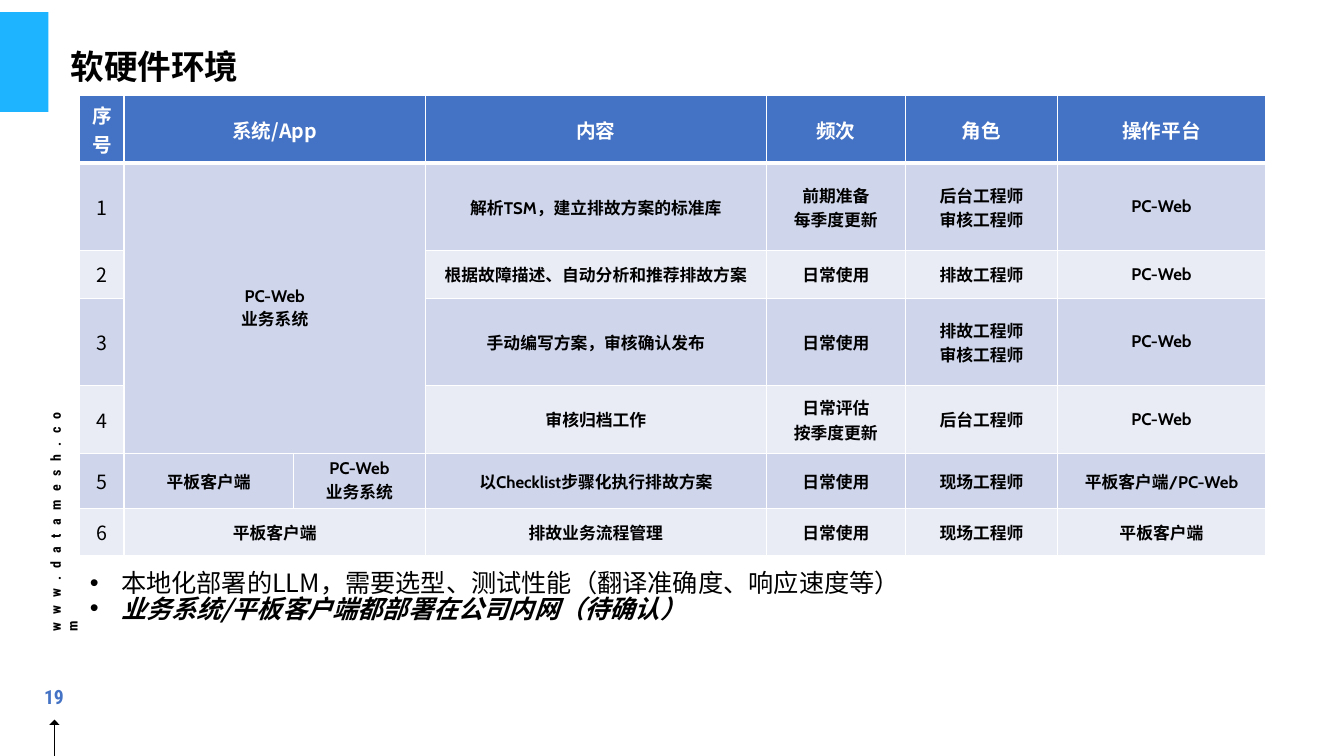
from dataclasses import dataclass

from lxml import etree
from pptx import Presentation
from pptx.dml.color import RGBColor
from pptx.enum.shapes import MSO_CONNECTOR, MSO_SHAPE
from pptx.enum.text import MSO_ANCHOR, MSO_AUTO_SIZE, PP_ALIGN
from pptx.oxml.ns import qn
from pptx.util import Inches, Pt

LEFT, CENTER = PP_ALIGN.LEFT, PP_ALIGN.CENTER
TOP, MIDDLE = MSO_ANCHOR.TOP, MSO_ANCHOR.MIDDLE
NO_AUTOFIT = MSO_AUTO_SIZE.NONE
RECTANGLE, TRIANGLE = MSO_SHAPE.RECTANGLE, MSO_SHAPE.ISOSCELES_TRIANGLE
STRAIGHT = MSO_CONNECTOR.STRAIGHT

SLIDE_WIDTH, SLIDE_HEIGHT = Inches(13.33), Inches(7.5)
BLACK, WHITE, BLUE, SKY = "000000", "FFFFFF", "4472C4", "1EB4FF"
BANDS = ("E9EBF5", "CFD5EA")
CJK_FONT, CELL_FONT, SIDE_FONT = "Noto Sans CJK SC", "Cabin", "Roboto Condensed"

# Shares of the slide in percent
COLUMN_SHARES = (3.3, 12.6, 9.83, 25.36, 10.35, 11.33, 15.45)
ROW_SHARES = (5.73, 11.6, 6.27, 11.6, 8.93, 6.27, 6.27)
CONTENT_LEFT = 5.93
CONTENT_WIDTH = sum(COLUMN_SHARES)

ROWS = (
    ("序号", "系统/App", None, "内容", "频次", "角色", "操作平台"),
    ("1", "PC-Web\n业务系统", None, "解析TSM，建立排故方案的标准库",
     "前期准备\n每季度更新", "后台工程师\n审核工程师", "PC-Web"),
    ("2", None, None, "根据故障描述、自动分析和推荐排故方案",
     "日常使用", "排故工程师", "PC-Web"),
    ("3", None, None, "手动编写方案，审核确认发布",
     "日常使用", "排故工程师\n审核工程师", "PC-Web"),
    ("4", None, None, "审核归档工作",
     "日常评估\n按季度更新", "后台工程师", "PC-Web"),
    ("5", "平板客户端", "PC-Web\n业务系统", "以Checklist步骤化执行排故方案",
     "日常使用", "现场工程师", "平板客户端/PC-Web"),
    ("6", "平板客户端", None, "排故业务流程管理",
     "日常使用", "现场工程师", "平板客户端"),
)
MERGES = (((0, 1), (0, 2)), ((1, 1), (4, 2)), ((6, 1), (6, 2)))


@dataclass
class Style:
    size: float
    font: str = CJK_FONT
    color: str = BLACK
    bold: bool = False
    italic: bool = False
    tracking: float = 0


HEADER_STYLE = Style(14, color=WHITE, bold=True)
NUMBER_STYLE = Style(14)
CELL_STYLE = Style(12, CELL_FONT, bold=True)


def rgb(color):
    return RGBColor.from_string(color)


def across(share):
    return round(SLIDE_WIDTH * share / 100)


def down(share):
    return round(SLIDE_HEIGHT * share / 100)


def area(left, top, width, height):
    return across(left), down(top), across(width), down(height)


def place(shape, *shares):
    shape.left, shape.top, shape.width, shape.height = area(*shares)


def add_run(para, text, style):
    run = para.add_run()
    run.text = text
    font = run.font
    font.size, font.name = Pt(style.size), style.font
    font.bold, font.italic = style.bold, style.italic
    font.color.rgb = rgb(style.color)
    properties = run._r.get_or_add_rPr()
    east_asian = etree.Element(qn("a:ea"), typeface=CJK_FONT)
    properties.find(qn("a:latin")).addnext(east_asian)
    if style.tracking:
        properties.set("spc", str(round(style.tracking * 100)))


def add_paras(frame, texts, style, align=LEFT):
    for index, text in enumerate(texts):
        para = frame.add_paragraph() if index else frame.paragraphs[0]
        para.alignment = align
        add_run(para, text, style)


def add_label(page, shares, text, style, align, anchor, wrap):
    box = page.shapes.add_textbox(*area(*shares))
    frame = box.text_frame
    frame.word_wrap, frame.vertical_anchor = wrap, anchor
    frame.auto_size = NO_AUTOFIT
    add_paras(frame, [text], style, align)
    return box


def add_solid(page, kind, shares, color):
    shape = page.shapes.add_shape(kind, *area(*shares))
    shape.shadow.inherit = False
    shape.fill.solid()
    shape.fill.fore_color.rgb = rgb(color)
    shape.line.fill.background()


def add_rule(page, start, end):
    rule = page.shapes.add_connector(
        STRAIGHT, across(start[0]), down(start[1]), across(end[0]), down(end[1]))
    rule.line.color.rgb = rgb(BLACK)
    rule.line.width = Pt(1)
    etree.SubElement(rule._element.spPr, qn("a:effectLst"))


def set_borders(cell, bottom):
    """Draw white cell borders, with the bottom one of the given points."""
    properties = cell._tc.get_or_add_tcPr()
    widths = {"lnL": 1, "lnR": 1, "lnT": 1, "lnB": bottom}
    for index, (side, width) in enumerate(widths.items()):
        line = etree.Element(qn(f"a:{side}"), w=str(Pt(width)))
        fill = etree.SubElement(line, qn("a:solidFill"))
        etree.SubElement(fill, qn("a:srgbClr"), val=WHITE)
        properties.insert(index, line)


def cell_style(row, column):
    if row == 0:
        return HEADER_STYLE
    return CELL_STYLE if column else NUMBER_STYLE


def add_environment_table(page):
    shares = CONTENT_LEFT, 12.67, CONTENT_WIDTH, sum(ROW_SHARES)
    table = page.shapes.add_table(
        len(ROW_SHARES), len(COLUMN_SHARES), *area(*shares)).table
    for column, share in zip(table.columns, COLUMN_SHARES):
        column.width = across(share)
    for row, share in zip(table.rows, ROW_SHARES):
        row.height = down(share)
    for first, last in MERGES:
        table.cell(*first).merge(table.cell(*last))
    for row, texts in enumerate(ROWS):
        for column, text in enumerate(texts):
            cell = table.cell(row, column)
            cell.fill.solid()
            cell.fill.fore_color.rgb = rgb(BANDS[row % 2] if row else BLUE)
            set_borders(cell, 1 if row else 3)
            cell.vertical_anchor = MIDDLE
            if text:
                add_paras(cell.text_frame, text.split("\n"),
                          cell_style(row, column), CENTER)


def fill_title(title, text):
    place(title, 4.5, 2, 86.27, 14.27)
    frame = title.text_frame
    frame.auto_size, frame.vertical_anchor = NO_AUTOFIT, MIDDLE
    add_paras(frame, [text], Style(24, bold=True))
    frame.paragraphs[0].line_spacing = 0.9


def fill_bullets(body, items):
    place(body, CONTENT_LEFT, 75.07, CONTENT_WIDTH, 9.47)
    frame = body.text_frame
    frame.auto_size, frame.vertical_anchor = NO_AUTOFIT, TOP
    for index, (text, style) in enumerate(items):
        para = frame.add_paragraph() if index else frame.paragraphs[0]
        para.alignment, para.line_spacing = LEFT, 0.84
        para.space_before = para.space_after = Pt(0)
        properties = para._p.get_or_add_pPr()
        properties.set("marL", str(Inches(0.31)))
        properties.set("indent", str(-Inches(0.31)))
        etree.SubElement(properties, qn("a:buFont"), typeface="Arial")
        etree.SubElement(properties, qn("a:buChar"), char="•")
        add_run(para, text, style)


def add_side_strip(page):
    add_solid(page, RECTANGLE, (0, 1.6, 3.6, 13.2), SKY)
    address = add_label(page, (-5.4, 66.13, 19.05, 3.6), "www.datamesh.com",
                        Style(10, SIDE_FONT, bold=True, tracking=6), LEFT, TOP, True)
    address.rotation = 270
    add_label(page, (1.43, 88.53, 5.18, 7.2), "19",
              Style(14, SIDE_FONT, BLUE, bold=True), CENTER, MIDDLE, False)
    add_rule(page, (4.05, 95.33), (4.05, 100))
    add_solid(page, TRIANGLE, (3.68, 95.2, 0.75, 0.67), BLACK)


def main():
    deck = Presentation()
    deck.slide_width, deck.slide_height = SLIDE_WIDTH, SLIDE_HEIGHT
    page = deck.slides.add_slide(deck.slide_layouts[1])
    add_side_strip(page)
    fill_title(page.shapes.title, "软硬件环境")
    add_environment_table(page)
    fill_bullets(page.placeholders[1], (
        ("本地化部署的LLM，需要选型、测试性能（翻译准确度、响应速度等）", Style(18)),
        ("业务系统/平板客户端都部署在公司内网（待确认）",
         Style(18, bold=True, italic=True)),
    ))
    deck.save("out.pptx")


if __name__ == "__main__":
    main()
